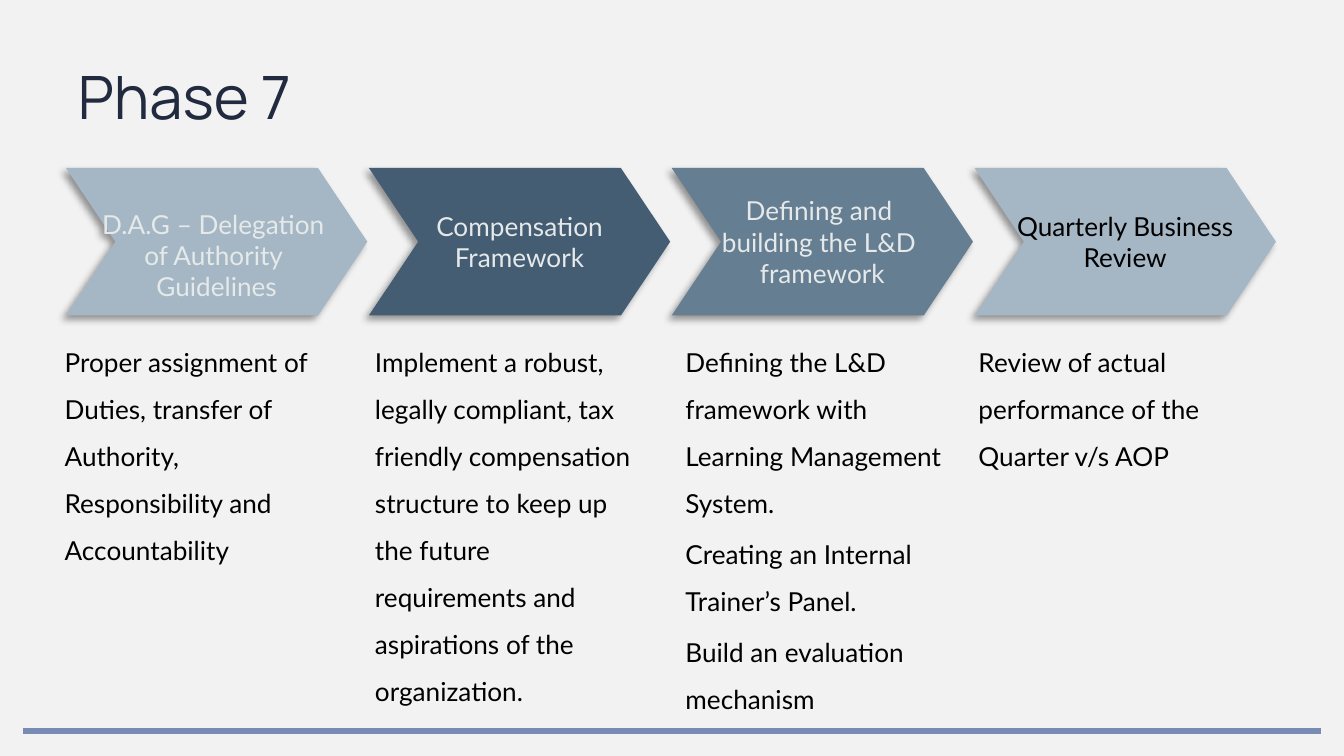
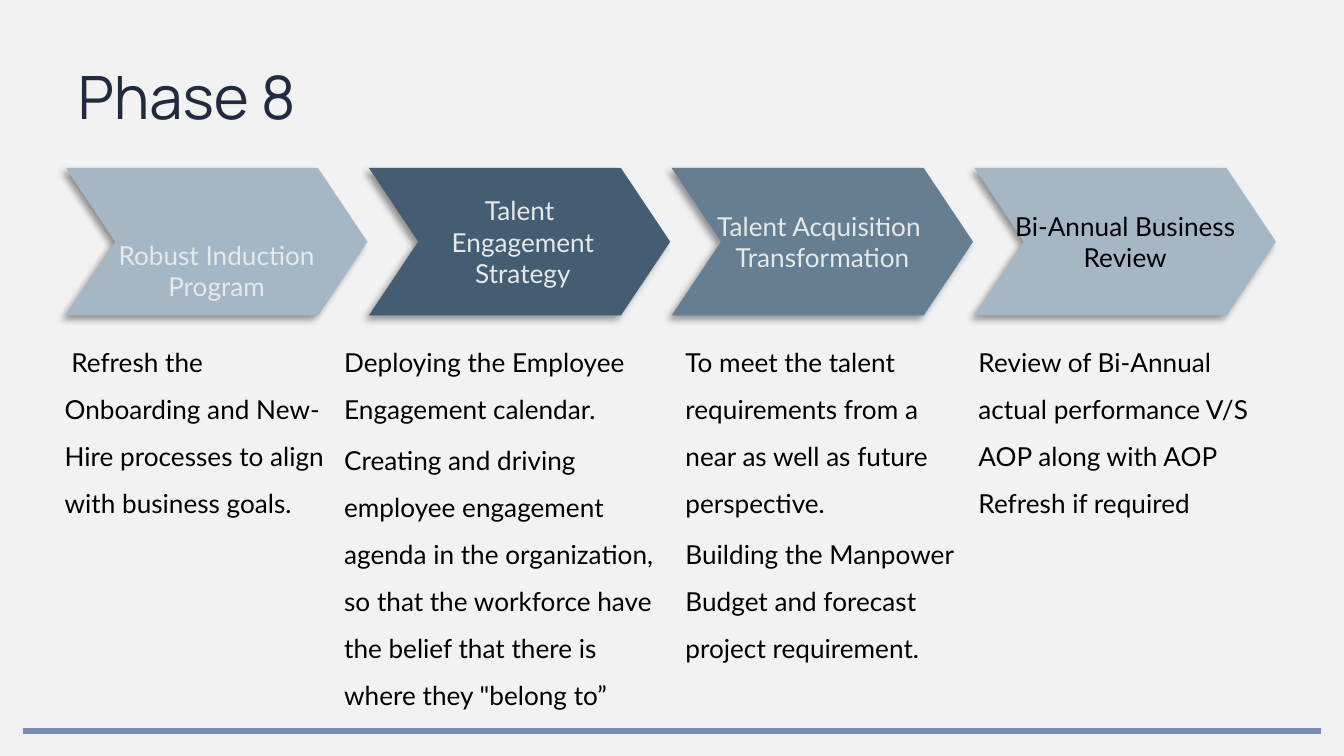
from copy import deepcopy
from lxml.etree import SubElement
from pptx import Presentation
from pptx.dml.color import RGBColor
from pptx.enum.shapes import MSO_CONNECTOR as Connector
from pptx.enum.text import MSO_ANCHOR as Anchor, PP_ALIGN as Align
from pptx.oxml.ns import qn
from pptx.util import Pt

BACKGROUND = "F2F2F2"
RULE = "788BB7"
NAVY = "212A3E"
BLACK = "000000"
LIGHT_TEXT = "E5E9E9"
MIST, DEEP, STEEL = "A5B7C5", "445D73", "667E92"
HEADING_FONT, BODY_FONT = "Manrope", "Lato"

STEP_STYLES = [
    (MIST, LIGHT_TEXT, Anchor.BOTTOM),
    (DEEP, LIGHT_TEXT, Anchor.MIDDLE),
    (STEEL, LIGHT_TEXT, Anchor.MIDDLE),
    (MIST, BLACK, Anchor.MIDDLE),
]
STEP_BOX = (35.4, 90, 161.4, 79)
STEP_PITCH = 162.25
STEP_NOTCH = 26.4
DETAIL_TOP, DETAIL_HEIGHT = 177.1, 102.2

PHASES = [
    ("Phase 7", [
        (["D.A.G – Delegation \vof Authority \vGuidelines"], 34.6, 145.4,
         ["Proper assignment of Duties, transfer of Authority, Responsibility and Accountability"]),
        (["Compensation Framework"], 200.9, 145.4,
         ["Implement a robust, legally compliant, tax friendly compensation structure "
          "to keep up the future requirements and aspirations of the organization."]),
        (["Defining and ", "building the L&D ", "framework"], 367.2, 145.4,
         ["Defining the L&D framework with Learning Management System.",
          "Creating an Internal Trainer’s Panel.",
          "Build an evaluation mechanism"]),
        (["Quarterly Business Review"], 524.2, 161.3,
         ["Review of actual performance of the Quarter v/s AOP"]),
    ]),
    ("Phase 8", [
        (["Robust Induction Program"], 34.6, 145.4,
         [" Refresh the Onboarding and New-Hire processes to align with business goals."]),
        (["Talent\v Engagement\v Strategy"], 184.4, 167.8,
         ["Deploying the Employee Engagement calendar.",
          "Creating and driving employee engagement agenda in the organization, so that "
          "the workforce have the belief that there is where they \"belong to”"]),
        (["Talent Acquisition ", "Transformation"], 367.2, 145.4,
         ["To meet the talent requirements from a near as well as future perspective.",
          "Building the Manpower Budget and forecast project requirement."]),
        (["Bi-Annual Business Review"], 524.2, 161.3,
         ["Review of Bi-Annual actual performance V/S AOP along with AOP Refresh if required"]),
    ]),
]


def color(value):
    return RGBColor.from_string(value)


def write_text(shape, texts, size=14, font=BODY_FONT, fill=BLACK, align=Align.LEFT,
               anchor=Anchor.TOP, inset=0, line_spacing=None, space_after=None):
    frame = shape.text_frame
    frame.word_wrap = True
    frame.vertical_anchor = anchor
    frame.margin_left = frame.margin_right = Pt(inset)
    frame.margin_top = frame.margin_bottom = Pt(inset)
    for index, text in enumerate(texts):
        paragraph = frame.add_paragraph() if index else frame.paragraphs[0]
        paragraph.text = text
        paragraph.alignment = align
        if line_spacing is not None:
            paragraph.line_spacing = line_spacing
        if space_after is not None:
            paragraph.space_after = Pt(space_after)
        for run in paragraph.runs:
            run.font.size = Pt(size)
            run.font.name = font
            run.font.color.rgb = color(fill)
        for line_break in paragraph._p.findall(qn("a:br")):
            line_break.append(deepcopy(paragraph.runs[0].font._element))


def add_text(slide, box, texts, **text_format):
    shape = slide.shapes.add_textbox(*map(Pt, box))
    write_text(shape, texts, **text_format)


def add_effects(shape):
    return SubElement(shape._element.spPr, qn("a:effectLst"))


def add_shadow(shape):
    shadow = SubElement(add_effects(shape), qn("a:outerShdw"), blurRad=str(Pt(4)),
                        dist=str(Pt(3)), dir=str(135 * 60000), rotWithShape="0")
    tint = SubElement(shadow, qn("a:srgbClr"), val=BLACK)
    SubElement(tint, qn("a:alpha"), val="40000")


def add_frame(slide, title):
    slide.background.fill.solid()
    slide.background.fill.fore_color.rgb = color(BACKGROUND)
    rule = slide.shapes.add_connector(Connector.STRAIGHT, Pt(707.8), Pt(391.7),
                                      Pt(12.2), Pt(391.7))
    rule.line.color.rgb = color(RULE)
    rule.line.width = Pt(3.5)
    add_effects(rule)
    add_text(slide, (34.6, 27.4, 607, 45.4), [title], size=32, font=HEADING_FONT,
             fill=NAVY, inset=7.2, line_spacing=0.95)


def add_step(slide, box, label, style):
    left, top, width, height = box
    fill, text_color, anchor = style
    right, middle, bottom = left + width, top + height / 2, top + height
    points = [(left + STEP_NOTCH, middle), (left, bottom), (right - STEP_NOTCH, bottom),
              (right, middle), (right - STEP_NOTCH, top)]
    builder = slide.shapes.build_freeform(Pt(left), Pt(top))
    builder.add_line_segments([(Pt(x), Pt(y)) for x, y in points], close=True)
    shape = builder.convert_to_shape()
    shape.fill.solid()
    shape.fill.fore_color.rgb = color(fill)
    shape.line.fill.background()
    add_shadow(shape)
    write_text(shape, label, fill=text_color, align=Align.CENTER, anchor=anchor, inset=7.2)


def build_phase(slide, title, steps):
    add_frame(slide, title)
    left, top, width, height = STEP_BOX
    for index, ((label, *_), style) in enumerate(zip(steps, STEP_STYLES)):
        add_step(slide, (left + index * STEP_PITCH, top, width, height), label, style)
    for _, detail_left, detail_width, details in steps:
        add_text(slide, (detail_left, DETAIL_TOP, detail_width, DETAIL_HEIGHT), details,
                 line_spacing=1.5, space_after=2.1)


def main():
    presentation = Presentation()
    presentation.slide_width, presentation.slide_height = Pt(720), Pt(405)
    for title, steps in PHASES:
        slide = presentation.slides.add_slide(presentation.slide_layouts[6])
        build_phase(slide, title, steps)
    presentation.save("out.pptx")


if __name__ == "__main__":
    main()
